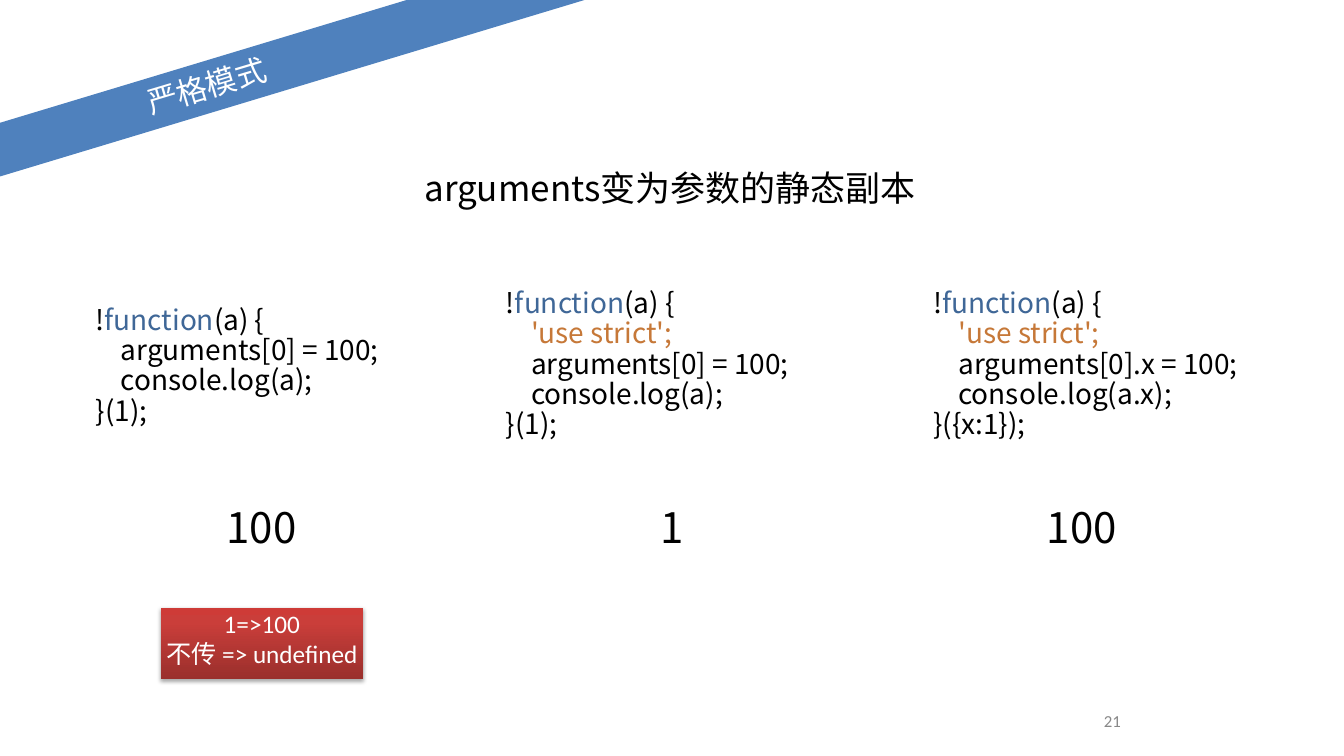
from dataclasses import dataclass
from typing import Any
import copy

import pptx
import pptx.dml.color
import pptx.enum.shapes
import pptx.enum.text
import pptx.oxml
import pptx.oxml.ns
import pptx.util

Inches = pptx.util.Inches
Pt = pptx.util.Pt
RGBColor = pptx.dml.color.RGBColor
Align = pptx.enum.text.PP_ALIGN
Anchor = pptx.enum.text.MSO_ANCHOR
RECTANGLE = pptx.enum.shapes.MSO_SHAPE.RECTANGLE
qn = pptx.oxml.ns.qn

BLACK = RGBColor(0x00, 0x00, 0x00)
WHITE = RGBColor(0xFF, 0xFF, 0xFF)
GREY = RGBColor(0x88, 0x88, 0x88)
BANNER_BLUE = RGBColor(0x4F, 0x81, 0xBD)
KEYWORD_BLUE = RGBColor(0x3F, 0x67, 0x97)
STRING_ORANGE = RGBColor(0xC6, 0x78, 0x38)
NOTE_DARK = RGBColor(0x9A, 0x2F, 0x2C)
NOTE_MID = RGBColor(0xCA, 0x3E, 0x3A)
NOTE_LIGHT = RGBColor(0xCE, 0x3B, 0x37)

CJK_FONT = "Noto Sans CJK SC"
LATIN_FONT = "Calibri"
CODE_MIDDLE = 7.4
CODE_SIZE = 40
RESULT_SIZE = 60
TIGHT = 1.08

Line = list[tuple[str, RGBColor]]


@dataclass(frozen=True)
class TextStyle:
    size: float
    color: RGBColor = BLACK
    font: str = CJK_FONT
    align: Any = Align.LEFT
    anchor: Any = Anchor.TOP
    margin: float = 0.1
    wrap: bool = False
    leading: float | None = None


@dataclass(frozen=True)
class Sample:
    left: float
    width: float
    strict: bool
    suffix: str
    argument: str
    result: str
    result_center: float
    result_width: float

    def lines(self) -> list[Line]:
        directive: list[Line] = [[("\t'use strict';", STRING_ORANGE)]] if self.strict else []
        return [
            [("!", BLACK), ("function", KEYWORD_BLUE), ("(a) {", BLACK)],
            *directive,
            [(f"\targuments[0]{self.suffix} = 100;", BLACK)],
            [(f"\tconsole.log(a{self.suffix});", BLACK)],
            [(f"}}({self.argument});", BLACK)],
        ]


SAMPLES = [
    Sample(1.8, 6.78, False, "", "1", "100", 5.19, 1.68),
    Sample(9.94, 6.78, True, "", "1", "1", 13.33, 0.7),
    Sample(18.42, 7.19, True, ".x", "{x:1}", "100", 21.47, 1.68),
]


def apply(target: Any, values: dict[str, Any]) -> None:
    for name, value in values.items():
        setattr(target, name, value)


def write(shape: Any, lines: list[Line], style: TextStyle) -> None:
    frame = shape.text_frame
    margin = Inches(style.margin)
    apply(frame, {
        "margin_left": margin, "margin_right": margin,
        "margin_top": margin, "margin_bottom": margin,
        "word_wrap": style.wrap, "vertical_anchor": style.anchor,
        "auto_size": pptx.enum.text.MSO_AUTO_SIZE.NONE,
    })
    for index, line in enumerate(lines):
        paragraph = frame.add_paragraph() if index else frame.paragraphs[0]
        paragraph.alignment = style.align
        if style.leading:
            paragraph.line_spacing = Pt(style.size * style.leading)
        for text, color in line:
            run = paragraph.add_run()
            run.text = text
            apply(run.font, {"size": Pt(style.size), "name": style.font})
            run.font.color.rgb = color
            latin = run.font._element.find(qn("a:latin"))
            east_asian = pptx.oxml.parse_xml(
                f'<a:ea {pptx.oxml.ns.nsdecls("a")} typeface="{CJK_FONT}"/>')
            latin.addnext(east_asian)


def plain(style: TextStyle, *texts: str) -> list[Line]:
    return [[(text, style.color)] for text in texts]


def add_text(slide: Any, box: tuple[float, float, float, float],
             lines: list[Line], style: TextStyle) -> None:
    write(slide.shapes.add_textbox(*map(Inches, box)), lines, style)


def add_rectangle(slide: Any, box: tuple[float, float, float, float]) -> Any:
    rectangle = slide.shapes.add_shape(RECTANGLE, *map(Inches, box))
    rectangle.shadow.inherit = False
    rectangle.line.fill.background()
    return rectangle


def add_heading(slide: Any) -> None:
    heading = slide.shapes.title
    apply(heading, {"left": Inches(8.32), "top": Inches(2.78),
                    "width": Inches(10.03), "height": Inches(1.12)})
    style = TextStyle(50, wrap=True, leading=1.8)
    write(heading, plain(style, "arguments变为参数的静态副本"), style)


def add_banner(slide: Any) -> None:
    banner = add_rectangle(slide, (-4.99, 1.22, 18.19, 1.02))
    banner.rotation = 343.2
    banner.fill.solid()
    banner.fill.fore_color.rgb = BANNER_BLUE
    style = TextStyle(43.8, WHITE, align=Align.CENTER, anchor=Anchor.MIDDLE,
                      margin=0, wrap=True, leading=TIGHT)
    write(banner, plain(style, "严格模式"), style)


def add_sample(slide: Any, sample: Sample) -> None:
    lines = sample.lines()
    height = 0.2 + len(lines) * CODE_SIZE * 1.2 / 72
    add_text(slide, (sample.left, CODE_MIDDLE - height / 2, sample.width, height),
             lines, TextStyle(CODE_SIZE, leading=TIGHT))
    style = TextStyle(RESULT_SIZE, align=Align.CENTER, leading=TIGHT)
    left = sample.result_center - sample.result_width / 2
    add_text(slide, (left, 9.96, sample.result_width, 1.3),
             plain(style, sample.result), style)


def add_note(slide: Any) -> None:
    note = add_rectangle(slide, (3.19, 12.06, 4.01, 1.42))
    note.fill.gradient()
    note.fill.gradient_angle = 90
    properties = note._element.spPr
    stop_list = properties.find(qn("a:gradFill")).find(qn("a:gsLst"))
    stop_list.insert(1, copy.deepcopy(stop_list[0]))
    stops = [(0, NOTE_DARK), (0.8, NOTE_MID), (1, NOTE_LIGHT)]
    for stop, (position, color) in zip(note.fill.gradient_stops, stops):
        stop.position = position
        stop.color.rgb = color
    properties.find(qn("a:effectLst")).append(pptx.oxml.parse_xml(
        f'<a:outerShdw {pptx.oxml.ns.nsdecls("a")} blurRad="{Pt(6)}" dist="{Pt(3)}" '
        'dir="5400000" rotWithShape="0"><a:srgbClr val="000000">'
        '<a:alpha val="35000"/></a:srgbClr></a:outerShdw>'))
    style = TextStyle(36, WHITE, LATIN_FONT, Align.CENTER, margin=0)
    write(note, plain(style, "1=>100", "不传 => undefined"), style)


def main() -> None:
    deck = pptx.Presentation()
    apply(deck, {"slide_width": Inches(26.67), "slide_height": Inches(15)})
    slide = deck.slides.add_slide(deck.slide_layouts.get_by_name("Title Only"))
    add_heading(slide)
    add_banner(slide)
    for sample in SAMPLES:
        add_sample(slide, sample)
    add_note(slide)
    number_style = TextStyle(24, GREY, LATIN_FONT, Align.RIGHT, Anchor.MIDDLE, wrap=True)
    add_text(slide, (17.67, 14, 4.67, 0.6), plain(number_style, "21"), number_style)
    deck.save("out.pptx")


if __name__ == "__main__":
    main()
